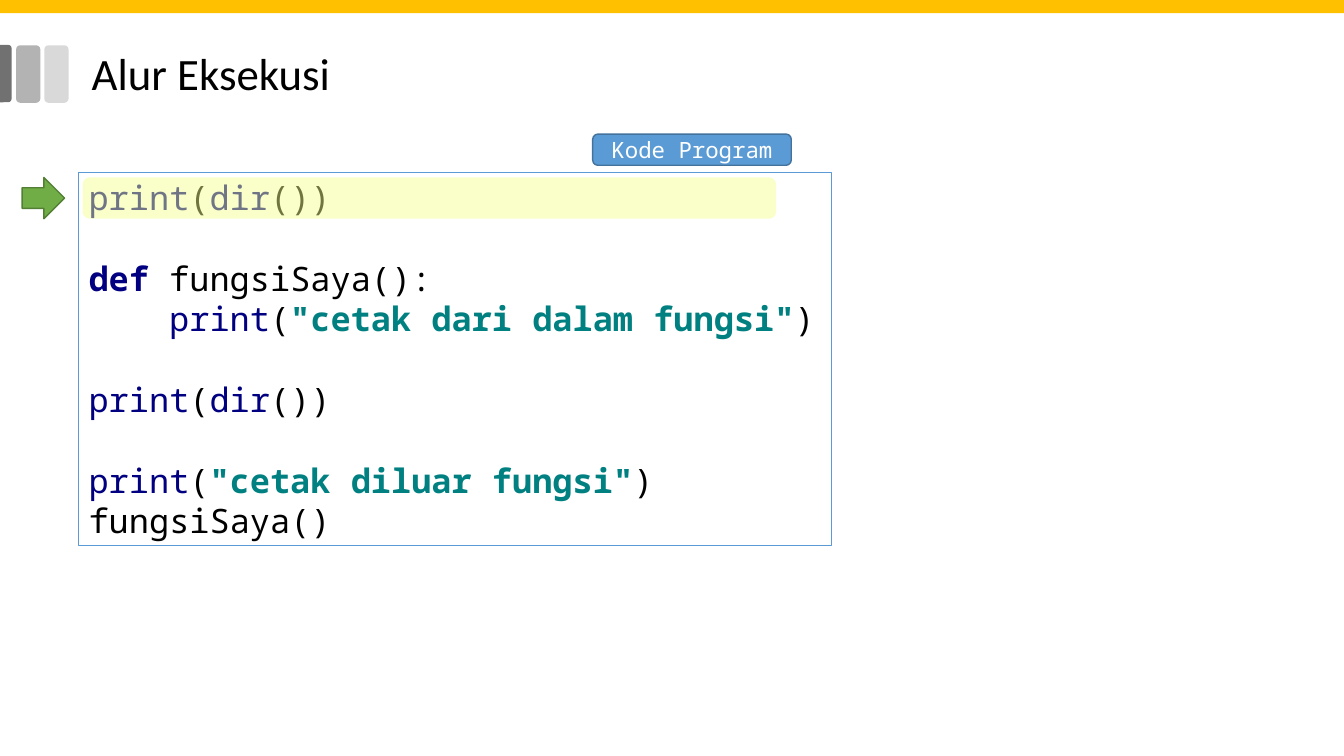
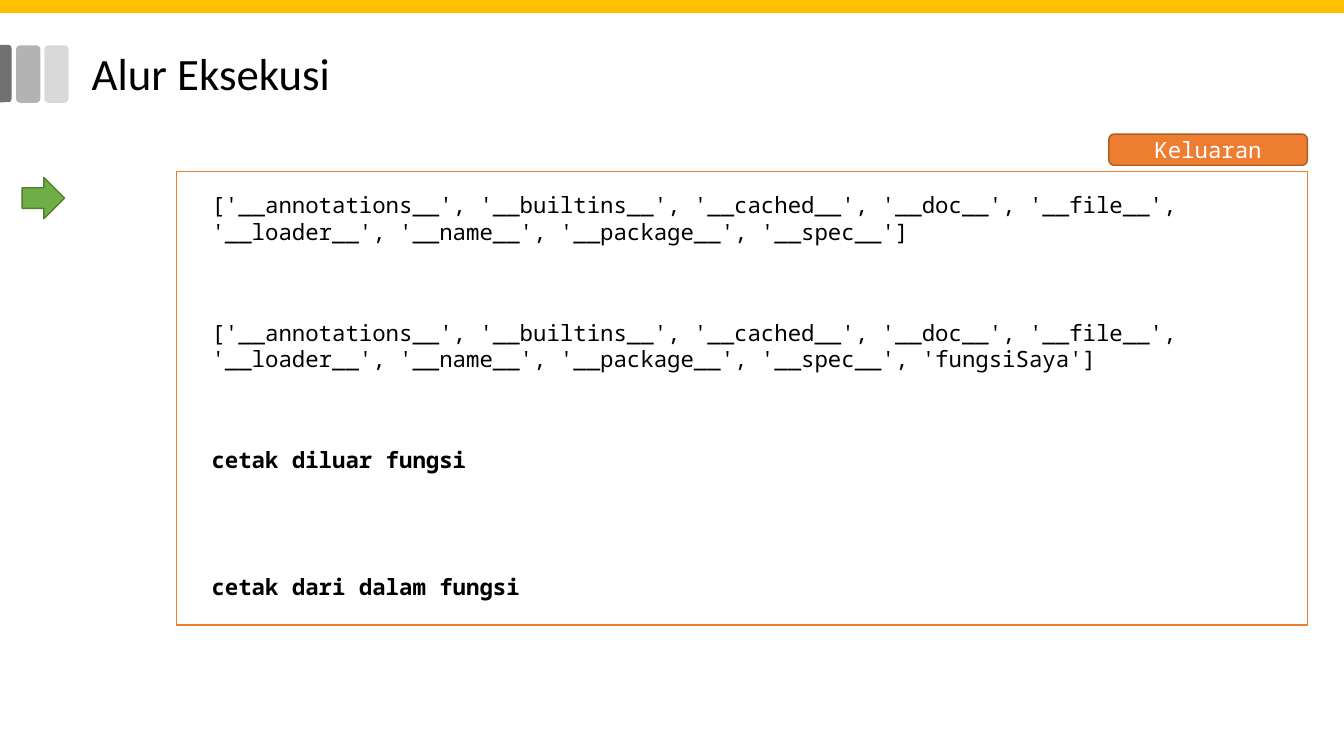
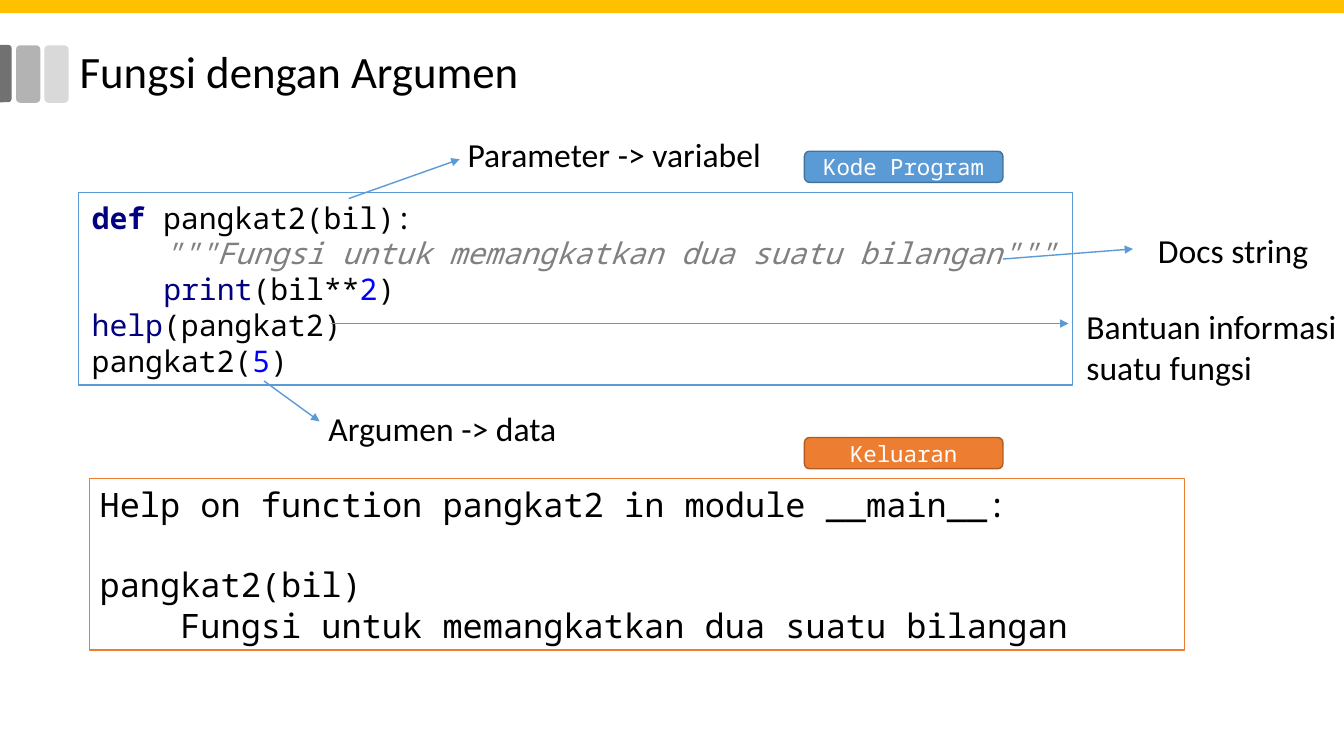
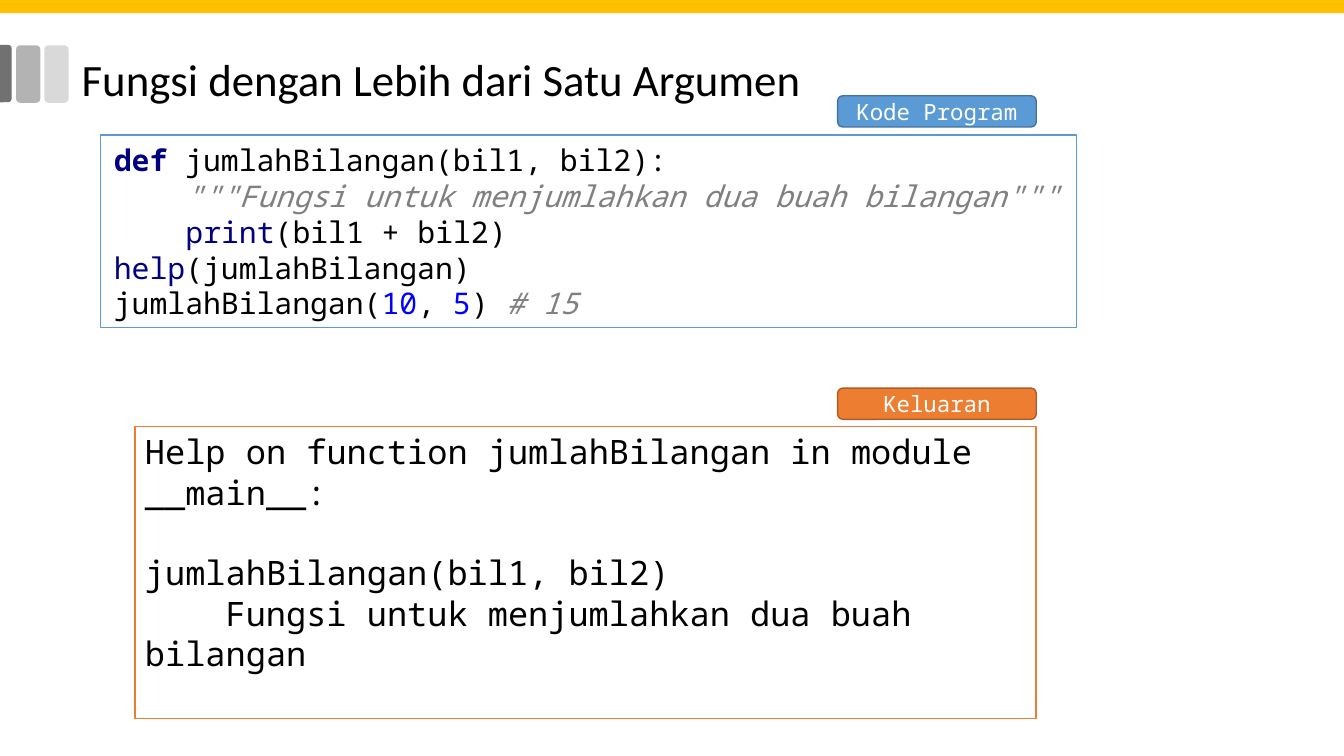
"""Build four slides on how functions run and take arguments."""
from typing import NamedTuple

from lxml.etree import SubElement
from pptx import Presentation
from pptx.dml.color import RGBColor
from pptx.enum.shapes import MSO_CONNECTOR, MSO_SHAPE as SHAPE
from pptx.enum.text import MSO_ANCHOR as ANCHOR, PP_ALIGN as ALIGN
from pptx.oxml.ns import qn
from pptx.util import Inches, Pt

WIDTH, HEIGHT = Inches(13.33), Inches(7.5)
COLUMN, ROW = WIDTH / 40, HEIGHT / 30

BLACK = RGBColor(0x00, 0x00, 0x00)
WHITE = RGBColor(0xFF, 0xFF, 0xFF)
GOLD = RGBColor(0xFF, 0xC0, 0x00)
BLUE = RGBColor(0x5B, 0x9B, 0xD5)
DARK_BLUE = RGBColor(0x43, 0x72, 0x9D)
ORANGE = RGBColor(0xED, 0x7D, 0x31)
DARK_ORANGE = RGBColor(0xAF, 0x5C, 0x24)
GREEN = RGBColor(0x70, 0xAD, 0x47)
DARK_GREEN = RGBColor(0x52, 0x7F, 0x34)
YELLOW = RGBColor(0xF5, 0xFF, 0x8D)
LIGHT_GRAY = RGBColor(0xD9, 0xD9, 0xD9)
MID_GRAY = RGBColor(0xB3, 0xB3, 0xB3)
DARK_GRAY = RGBColor(0x71, 0x71, 0x71)
NAVY = RGBColor(0x00, 0x00, 0x80)
TEAL = RGBColor(0x00, 0x80, 0x80)
NUMBER_BLUE = RGBColor(0x00, 0x00, 0xFF)
COMMENT_GRAY = RGBColor(0x80, 0x80, 0x80)

SANS, MONO = "Calibri", "Noto Sans Mono"
LINE_HEIGHT = 1.2
INDENT_EMS = 2.4
TEXT_INSETS = (0.1, 0.05)
CODE_INSETS = (0.13, 0.07)
TITLE_INSETS = (0.13, 0.13)


class Style(NamedTuple):
    """Look of one kind of code token."""
    color: RGBColor = BLACK
    bold: bool = False
    italic: bool = False


class Line(NamedTuple):
    """One line of text: its tokens, indent level and whether a gap precedes it."""
    tokens: list
    level: int = 0
    gap: bool = False


PLAIN = Style()
STRONG = Style(bold=True)
KEYWORD = Style(NAVY, bold=True)
BUILTIN = Style(NAVY)
STRING = Style(TEAL, bold=True)
NUMBER = Style(NUMBER_BLUE)
COMMENT = Style(COMMENT_GRAY, italic=True)
INVERSE = Style(WHITE)


def place(left, top, width, height):
    """Turn grid columns and rows into slide lengths."""
    return (round(left * COLUMN), round(top * ROW),
            round(width * COLUMN), round(height * ROW))


def plain(text, level=0, gap=False, style=PLAIN):
    """Return a line made of a single token."""
    return Line([(text, style)], level, gap)


def write(box, lines, size, font=MONO, insets=TEXT_INSETS, anchor=ANCHOR.TOP,
          align=ALIGN.LEFT, wrap=True, spacing=None):
    """Fill a shape's text frame with styled lines."""
    frame = box.text_frame
    frame.word_wrap = wrap
    frame.vertical_anchor = anchor
    frame.margin_left = frame.margin_right = Inches(insets[0])
    frame.margin_top = frame.margin_bottom = Inches(insets[1])
    for number, line in enumerate(lines):
        para = frame.add_paragraph() if number else frame.paragraphs[0]
        para.alignment = align
        para.font.name = font
        para.font.size = Pt(size)
        if spacing:
            para.line_spacing = spacing
        if line.gap:
            para.space_before = Pt(size * LINE_HEIGHT)
        if line.level:
            properties = para._p.get_or_add_pPr()
            properties.set("marL", "0")
            properties.set("indent", str(Pt(size * INDENT_EMS * line.level)))
        for text, style in line.tokens:
            span = para.add_run()
            span.text = text
            span.font.color.rgb = style.color
            span.font.bold = style.bold
            span.font.italic = style.italic


def add_box(page, kind, area, fill=None, outline=None):
    """Add a preset shape with an optional fill and outline."""
    box = page.shapes.add_shape(kind, *place(*area))
    box.shadow.inherit = False
    if fill is None:
        box.fill.background()
    else:
        box.fill.solid()
        box.fill.fore_color.rgb = fill
    if outline is None:
        box.line.fill.background()
    else:
        box.line.color.rgb = outline
        box.line.width = Pt(1)
    return box


def add_text(page, area, lines, size, **options):
    """Add a plain text box."""
    write(page.shapes.add_textbox(*place(*area)), lines, size, **options)


def add_page(deck, title, left, top):
    """Add a slide with its bars, title and top band."""
    page = deck.slides.add_slide(deck.slide_layouts[6])
    for column, shade in ((1.32, LIGHT_GRAY), (0.48, MID_GRAY)):
        add_box(page, SHAPE.ROUNDED_RECTANGLE, (column, 1.8, 0.72, 2.28), shade)
    edge = add_box(page, SHAPE.ROUND_2_SAME_RECTANGLE,
                   (-0.69, 2.68, 1.71, 0.48), DARK_GRAY)
    edge.adjustments[0] = 0.29
    edge.rotation = 90
    add_text(page, (left, top, 34.5, 3), [plain(title)], 32, font=SANS,
             insets=TITLE_INSETS, spacing=0.9)
    add_box(page, SHAPE.RECTANGLE, (0, 0, 40, 0.52), GOLD)
    return page


def add_badge(page, left, top, label, fill, outline):
    """Add a small rounded label above a panel."""
    badge = add_box(page, SHAPE.ROUNDED_RECTANGLE, (left, top, 5.91, 1.24),
                    fill, outline)
    write(badge, [plain(label, style=INVERSE)], 16,
          anchor=ANCHOR.MIDDLE, align=ALIGN.CENTER)


def add_code_badge(page, left, top):
    """Label a program listing."""
    add_badge(page, left, top, "Kode Program", BLUE, DARK_BLUE)


def add_output_badge(page, left, top):
    """Label a program's output."""
    add_badge(page, left, top, "Keluaran", ORANGE, DARK_ORANGE)


def add_code(page, area, lines):
    """Add a white, blue-edged program listing."""
    panel = add_box(page, SHAPE.RECTANGLE, area, WHITE, BLUE)
    write(panel, lines, 21.3, insets=CODE_INSETS, anchor=ANCHOR.MIDDLE, wrap=False)


def add_help_output(page, area, name, signature, description):
    """Add the orange panel that shows what help() prints."""
    panel = add_box(page, SHAPE.RECTANGLE, area, outline=ORANGE)
    write(panel, [plain(f"Help on function {name} in module __main__:"),
                  plain(signature, gap=True),
                  plain(description, level=1)], 24)


def add_step_arrow(page):
    """Add the green arrow that marks the current step."""
    add_box(page, SHAPE.RIGHT_ARROW, (0.66, 7.04, 1.26, 1.64), GREEN, DARK_GREEN)


def add_highlight(page, area):
    """Add a see-through marker over a line of code."""
    marker = add_box(page, SHAPE.ROUNDED_RECTANGLE, area, YELLOW)
    color = marker._element.spPr.find(qn("a:solidFill"))[0]
    SubElement(color, qn("a:alpha"), val="46000")


def add_pointer(page, start, end):
    """Add a blue arrow between two grid points."""
    ends = place(*start, *end)
    pointer = page.shapes.add_connector(MSO_CONNECTOR.STRAIGHT, *ends)
    pointer.line.color.rgb = BLUE
    pointer.line.width = Pt(1)
    SubElement(pointer.line._get_or_add_ln(), qn("a:tailEnd"), type="triangle")
    SubElement(pointer._element.spPr, qn("a:effectLst"))


def build_flow_code(deck):
    """Build the slide with the program whose flow is followed."""
    page = add_page(deck, "Alur Eksekusi", 2.34, 1.52)
    list_names = [("print", BUILTIN), ("(", PLAIN), ("dir", BUILTIN), ("())", PLAIN)]
    panel = add_box(page, SHAPE.RECTANGLE, (2.34, 6.84, 22.41, 14.8), outline=BLUE)
    write(panel, [
        Line(list_names),
        Line([("def ", KEYWORD), ("fungsiSaya():", PLAIN)], gap=True),
        Line([("print", BUILTIN), ("(", PLAIN),
              ('"cetak dari dalam fungsi"', STRING), (")", PLAIN)], level=1),
        Line(list_names, gap=True),
        Line([("print", BUILTIN), ("(", PLAIN),
              ('"cetak diluar fungsi"', STRING), (")", PLAIN)], gap=True),
        plain("fungsiSaya()"),
    ], 24)
    add_code_badge(page, 17.64, 5.32)
    add_highlight(page, (2.46, 7.04, 20.64, 1.64))
    add_step_arrow(page)


def build_flow_output(deck):
    """Build the slide with the output of the program."""
    page = add_page(deck, "Alur Eksekusi", 2.34, 1.52)
    add_box(page, SHAPE.RECTANGLE, (5.25, 6.8, 33.66, 18), outline=ORANGE)
    add_output_badge(page, 33, 5.32)
    add_step_arrow(page)
    names = ("'__annotations__', '__builtins__', '__cached__', '__doc__', "
             "'__file__', '__loader__', '__name__', '__package__', '__spec__'")
    outputs = [
        (f"[{names}]", PLAIN),
        (f"[{names}, 'fungsiSaya']", PLAIN),
        ("cetak diluar fungsi", STRONG),
        ("cetak dari dalam fungsi", STRONG),
    ]
    for number, (text, style) in enumerate(outputs):
        add_text(page, (6, 7.4 + 5.05 * number, 32, 2.5),
                 [plain(text, style=style)], 16)


def build_argument(deck):
    """Build the annotated slide on a function with one argument."""
    page = add_page(deck, "Fungsi dengan Argumen", 1.98, 1.44)
    add_code(page, (2.34, 7.64, 29.58, 7.64), [
        Line([("def ", KEYWORD), ("pangkat2(bil):", PLAIN)]),
        plain('"""Fungsi untuk memangkatkan dua suatu bilangan"""', 1, style=COMMENT),
        Line([("print", BUILTIN), ("(bil**", PLAIN), ("2", NUMBER), (")", PLAIN)],
             level=1),
        Line([("help", BUILTIN), ("(pangkat2)", PLAIN)]),
        Line([("pangkat2(", PLAIN), ("5", NUMBER), (")", PLAIN)]),
    ])
    add_help_output(page, (2.67, 19, 32.58, 6.8), "pangkat2", "pangkat2(bil)",
                    "Fungsi untuk memangkatkan dua suatu bilangan")
    add_code_badge(page, 23.94, 6)
    add_output_badge(page, 23.94, 17.36)
    notes = [
        ("Docs string", (34.17, 8.92, 5.13, 2), (29.85, 10.28), (33.72, 9.88)),
        ("Bantuan informasi suatu fungsi", (32.04, 11.96, 8.28, 3.6),
         (9.84, 12.84), (31.8, 12.84)),
        ("Parameter -> variabel", (13.62, 5.12, 9.54, 2),
         (10.38, 7.88), (13.68, 6.32)),
        ("Argumen -> data", (9.48, 16, 7.83, 2), (7.86, 15.12), (9.51, 16.72)),
    ]
    for text, area, start, end in notes:
        add_pointer(page, start, end)
        add_text(page, area, [plain(text)], 24, font=SANS)


def build_many_arguments(deck):
    """Build the slide on a function with two arguments."""
    page = add_page(deck, "Fungsi dengan Lebih dari Satu Argumen", 2.04, 1.76)
    add_code(page, (3, 5.36, 29.04, 7.64), [
        Line([("def ", KEYWORD), ("jumlahBilangan(bil1, bil2):", PLAIN)]),
        plain('"""Fungsi untuk menjumlahkan dua buah bilangan"""', 1, style=COMMENT),
        Line([("print", BUILTIN), ("(bil1 + bil2)", PLAIN)], level=1),
        Line([("help", BUILTIN), ("(jumlahBilangan)", PLAIN)]),
        Line([("jumlahBilangan(", PLAIN), ("10", NUMBER), (", ", PLAIN),
              ("5", NUMBER), (") ", PLAIN), ("# 15", COMMENT)]),
    ])
    add_help_output(page, (4.02, 16.92, 26.82, 11.6), "jumlahBilangan",
                    "jumlahBilangan(bil1, bil2)",
                    "Fungsi untuk menjumlahkan dua buah bilangan")
    add_code_badge(page, 24.93, 3.8)
    add_output_badge(page, 24.93, 15.4)


def main():
    """Build and save the deck."""
    deck = Presentation()
    deck.slide_width, deck.slide_height = WIDTH, HEIGHT
    build_flow_code(deck)
    build_flow_output(deck)
    build_argument(deck)
    build_many_arguments(deck)
    deck.save("out.pptx")


if __name__ == "__main__":
    main()
